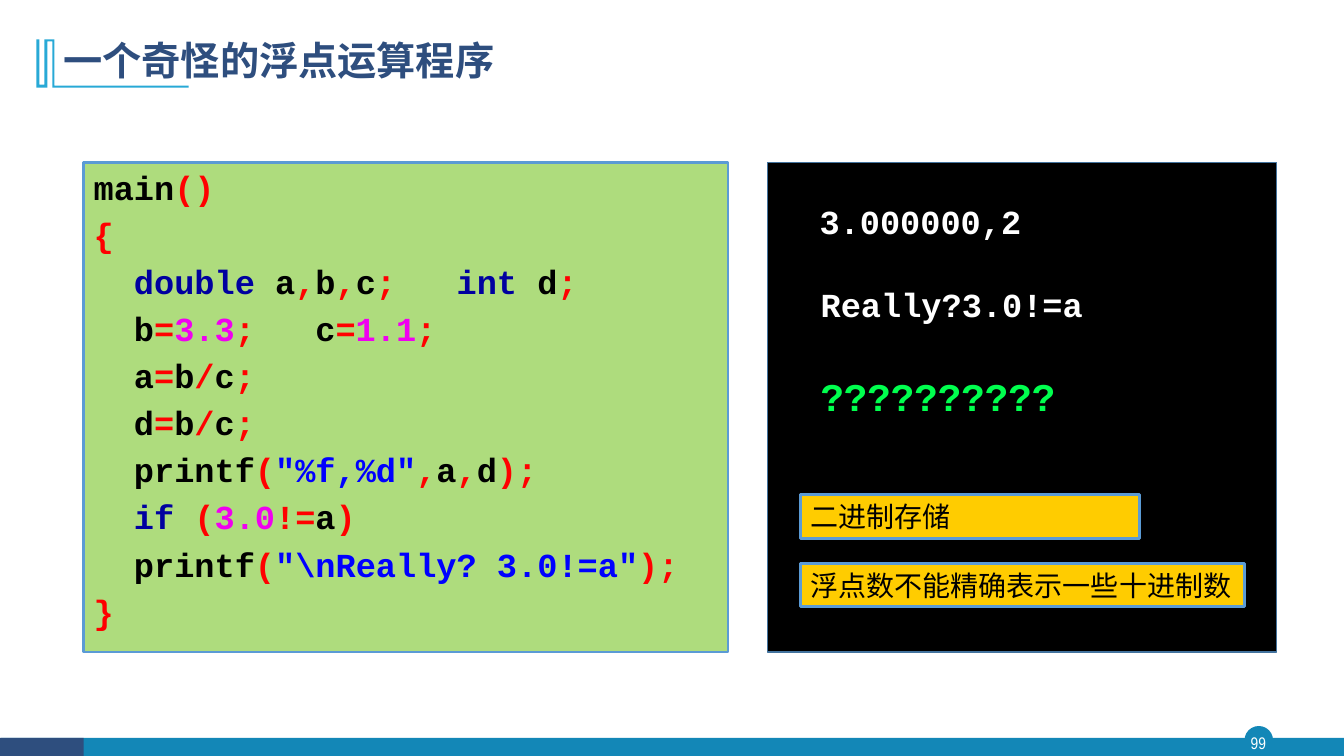
from typing import NamedTuple

from lxml import etree
from pptx import Presentation
from pptx import util as u
from pptx.dml import color
from pptx.enum import shapes, text
from pptx.oxml import ns

MONO, CJK = "Courier New", "Noto Sans CJK SC"
RECT, OVAL = shapes.MSO_SHAPE.RECTANGLE, shapes.MSO_SHAPE.OVAL
TEAL, NAVY, BLUE = "1387B7", "2E4E7E", "5B9BD5"


class Box(NamedTuple):
    x: float
    y: float
    w: float
    h: float
    fill: str
    line: str = ""
    line_pt: float = 1
    kind: int = RECT


class Label(NamedTuple):
    x: float
    y: float
    w: float
    h: float
    words: str
    size: float
    hue: str
    font: str = MONO
    bold: bool = True


FOOTER = [
    Box(12.35, 7.21, 0.27, 0.27, TEAL, TEAL, 1, OVAL),
    Box(0.01, 7.32, 13.32, 0.19, TEAL),
    Box(0, 7.32, 0.83, 0.19, NAVY),
]
TITLE_MARK = [
    (0.54, 0.39), (0.54, 0.85), (1.87, 0.85), (1.87, 0.87), (0.52, 0.87),
    (0.52, 0.41), (0.47, 0.41), (0.47, 0.87), (0.36, 0.87), (0.36, 0.39),
    (0.39, 0.39), (0.39, 0.84), (0.44, 0.84), (0.44, 0.39),
]
OUTPUT = [
    Label(8.03, 1.94, 3.37, 0.5, "3.000000,2", 24, "FFFFFF"),
    Label(8.04, 2.77, 3.39, 0.5, "Really?3.0!=a", 24, "FFFFFF"),
    Label(8.04, 3.64, 3.36, 0.57, "??????????", 28, "00FF4E"),
]
NOTES = [
    Label(7.94, 4.91, 3.36, 0.43, "二进制存储", 20, "000000", CJK, False),
    Label(7.94, 5.59, 4.4, 0.43, "浮点数不能精确表示一些十进制数", 20, "000000", CJK, False),
]
CODE = [
    ["main", "()"],
    ["{"],
    ["  ", "double ", "a", ",", "b", ",", "c", ";   ", "int ", "d", ";"],
    ["  ", "b", "=", "3.3", ";   ", "c", "=", "1.1", ";"],
    ["  ", "a", "=", "b", "/", "c", ";"],
    ["  ", "d", "=", "b", "/", "c", ";"],
    ["  ", "printf", "(", '"%f,%d"', ",", "a", ",", "d", ");"],
    ["  ", "if ", "(", "3.0", "!=", "a", ")"],
    ["  ", "printf", "(", r'"\nReally? 3.0!=a"', ");"],
    ["}"],
]


def rgb(value: str) -> color.RGBColor:
    return color.RGBColor.from_string(value)


def token_hue(token: str) -> str:
    """Colour a code token by its kind."""
    if token.strip() in ("double", "int", "if"):
        return "0000A0"
    if token[0] == '"':
        return "0000FF"
    if token[0].isdigit():
        return "F000F0"
    return "000000" if token[0].isalpha() else "FF0000"


def paint(sp, fill: str, line: str = "", line_pt: float = 1) -> None:
    sp.shadow.inherit = False
    sp.fill.solid()
    sp.fill.fore_color.rgb = rgb(fill)
    if line:
        sp.line.color.rgb = rgb(line)
        sp.line.width = u.Pt(line_pt)
    else:
        sp.line.fill.background()


def add_box(s, b: Box):
    sp = s.shapes.add_shape(b.kind, *map(u.Inches, b[:4]))
    paint(sp, b.fill, b.line, b.line_pt)
    return sp


def add_run(p, words: str, size: float, hue: str, font: str = MONO, bold: bool = True) -> None:
    r = p.add_run()
    r.text = words
    r.font.size, r.font.bold, r.font.name = u.Pt(size), bold, font
    r.font.color.rgb = rgb(hue)
    ea = etree.SubElement(r.font._element, ns.qn("a:ea"))
    ea.set("typeface", font)


def write_label(sp, label: Label) -> None:
    tf = sp.text_frame
    tf.word_wrap = True
    p = tf.paragraphs[0]
    p.alignment = text.PP_ALIGN.LEFT
    add_run(p, label.words, label.size, label.hue, label.font, label.bold)


def add_drop_shadow(sp) -> None:
    effects = sp._element.spPr.find(ns.qn("a:effectLst"))
    shadow = etree.SubElement(effects, ns.qn("a:outerShdw"), blurRad=str(u.Pt(4)),
                              dist=str(u.Pt(3)), dir="5400000", rotWithShape="0")
    black = etree.SubElement(shadow, ns.qn("a:srgbClr"), val="000000")
    etree.SubElement(black, ns.qn("a:alpha"), val="40000")


def add_code(s) -> None:
    sp = add_box(s, Box(0.83, 1.61, 6.39, 4.86, "92D050", BLUE, 2))
    green = sp._element.spPr.find(ns.qn("a:solidFill"))[0]
    etree.SubElement(green, ns.qn("a:alpha"), val="74000")
    tf = sp.text_frame
    tf.word_wrap = True
    tf.vertical_anchor = text.MSO_ANCHOR.TOP
    for i, tokens in enumerate(CODE):
        p = tf.add_paragraph() if i else tf.paragraphs[0]
        p.alignment = text.PP_ALIGN.LEFT
        if i:
            p.space_before = u.Pt(4.8)
        for token in tokens:
            add_run(p, token, 24, token_hue(token))


def main() -> None:
    prs = Presentation()
    prs.slide_width, prs.slide_height = u.Inches(13.33), u.Inches(7.5)
    s = prs.slides.add_slide(prs.slide_layouts[5])

    # Footer band and page number
    for band in FOOTER:
        add_box(s, band)
    number = Label(12.32, 7.21, 0.32, 0.31, "99", 12, "FFFFFF", "Arial Narrow", False)
    sp = s.shapes.add_textbox(*map(u.Inches, number[:4]))
    write_label(sp, number)
    tf = sp.text_frame
    tf.margin_left = tf.margin_right = tf.margin_top = tf.margin_bottom = 0
    tf.vertical_anchor = text.MSO_ANCHOR.MIDDLE
    tf.paragraphs[0].alignment = text.PP_ALIGN.CENTER

    # Title with its ornament
    start, *rest = [(u.Inches(x), u.Inches(y)) for x, y in TITLE_MARK]
    outline = s.shapes.build_freeform(*start)
    outline.add_line_segments(rest, close=True)
    paint(outline.convert_to_shape(), "28A9D6")
    title = Label(0.53, 0.28, 11.5, 0.68, "一个奇怪的浮点运算程序", 28, NAVY, CJK)
    sp = s.shapes.title
    sp.left, sp.top, sp.width, sp.height = map(u.Inches, title[:4])
    write_label(sp, title)
    sp.text_frame.vertical_anchor = text.MSO_ANCHOR.MIDDLE
    sp.text_frame.paragraphs[0].line_spacing = 0.9

    # Program listing
    add_code(s)

    # Console with output and explanations
    add_box(s, Box(7.61, 1.61, 5.05, 4.86, "000000", "43739E"))
    for label in OUTPUT:
        write_label(s.shapes.add_textbox(*map(u.Inches, label[:4])), label)
    for note in NOTES:
        sp = add_box(s, Box(*note[:4], "FFCC00", BLUE, 2))
        add_drop_shadow(sp)
        write_label(sp, note)
        sp.text_frame.vertical_anchor = text.MSO_ANCHOR.MIDDLE

    prs.save("out.pptx")


if __name__ == "__main__":
    main()
